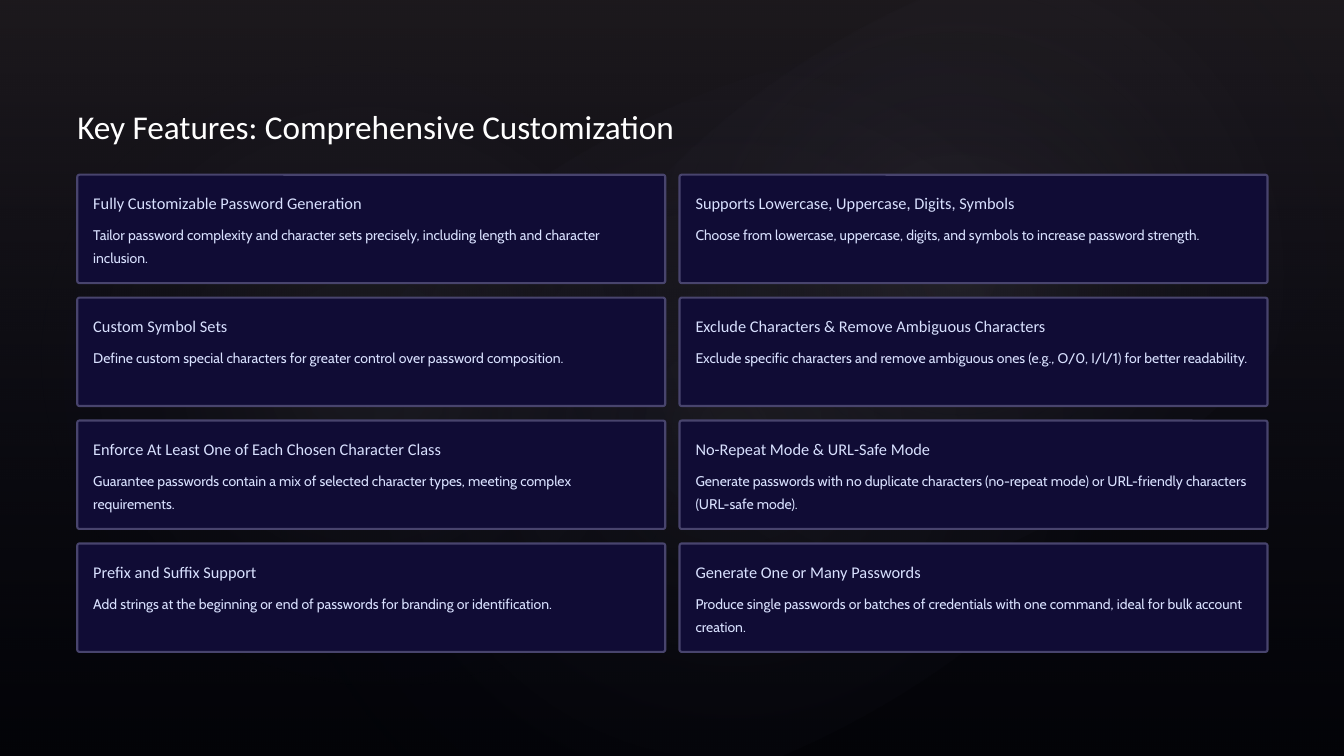
from dataclasses import dataclass

from lxml import etree
from pptx import Presentation
from pptx import util as u
from pptx.dml.color import RGBColor
from pptx.enum import shapes, text
from pptx.oxml import parse_xml
from pptx.oxml.ns import nsdecls

WIDE, HIGH = 16, 9
# Card grid: first corner, pitch and card size, in inches
LEFT, TOP = 0.92, 2.08
STEP_X, STEP_Y = 7.17, 4.39 / 3
CARD_W, CARD_H = 7, 1.29
COLS = 2
PAD, INNER = 0.19, 6.61
PALE = "D9E1FF"


@dataclass
class Glow:
    box: tuple[float, float, float, float]
    turn: float
    alpha: int


@dataclass
class Style:
    font: str
    size: float
    lead: float
    color: str


@dataclass
class Card:
    head: str
    body: str


TITLE = Style("Calibri", 28.5, 36, "FFFFFF")
HEAD = Style("Calibri", 14, 18, PALE)
BODY = Style("Cabin", 12, 19.5, PALE)

GLOWS = [
    Glow((2.4, 1.36, 12.67, 7.49), 328.7, 7),
    Glow((0.73, 0.55, 7.27, 7.84), 294.3, 8),
    Glow((5.74, 0.15, 11.34, 6.24), 328.7, 8),
]

CARDS = [
    Card("Fully Customizable Password Generation",
         "Tailor password complexity and character sets precisely, including length and character inclusion."),
    Card("Supports Lowercase, Uppercase, Digits, Symbols",
         "Choose from lowercase, uppercase, digits, and symbols to increase password strength."),
    Card("Custom Symbol Sets",
         "Define custom special characters for greater control over password composition."),
    Card("Exclude Characters & Remove Ambiguous Characters",
         "Exclude specific characters and remove ambiguous ones (e.g., O/0, I/l/1) for better readability."),
    Card("Enforce At Least One of Each Chosen Character Class",
         "Guarantee passwords contain a mix of selected character types, meeting complex requirements."),
    Card("No-Repeat Mode & URL-Safe Mode",
         "Generate passwords with no duplicate characters (no-repeat mode) or URL-friendly characters (URL-safe mode)."),
    Card("Prefix and Suffix Support",
         "Add strings at the beginning or end of passwords for branding or identification."),
    Card("Generate One or Many Passwords",
         "Produce single passwords or batches of credentials with one command, ideal for bulk account creation."),
]


def paint(color: str) -> RGBColor:
    return RGBColor.from_string(color)


def add_box(slide, kind, box: tuple):
    shape = slide.shapes.add_shape(kind, *map(u.Inches, box))
    shape.shadow.inherit = False
    return shape


def add_fade(shape, stops: list[tuple[int, str, int]], round_: bool) -> None:
    """Fill with stops of position, colour and opacity, in percent."""
    shape.line.fill.background()
    shape.fill.background()
    marks = "".join(
        f'<a:gs pos="{pos * 1000}"><a:srgbClr val="{color}">'
        f'<a:alpha val="{alpha * 1000}"/></a:srgbClr></a:gs>'
        for pos, color, alpha in stops)
    if round_:
        way = ('<a:path path="circle"><a:fillToRect l="50000" t="50000" '
               'r="50000" b="50000"/></a:path>')
    else:
        way = '<a:lin ang="5400000" scaled="0"/>'
    fade = parse_xml(f'<a:gradFill {nsdecls("a")} rotWithShape="1">'
                     f'<a:gsLst>{marks}</a:gsLst>{way}</a:gradFill>')
    props = shape.fill._xPr
    tag = etree.QName(fade.nsmap["a"], "noFill")
    props.replace(props.find(tag.text), fade)


def add_text(slide, words: str, box: tuple, style: Style) -> None:
    frame = slide.shapes.add_textbox(*map(u.Inches, box)).text_frame
    frame.word_wrap = True
    frame.vertical_anchor = text.MSO_ANCHOR.TOP
    frame.margin_left = frame.margin_right = 0
    frame.margin_top = frame.margin_bottom = 0
    frame.text = words
    para = frame.paragraphs[0]
    para.line_spacing = u.Pt(style.lead)
    font = para.runs[0].font
    font.name, font.size = style.font, u.Pt(style.size)
    font.color.rgb = paint(style.color)


def add_card(slide, card: Card, row: int, col: int) -> None:
    x, y = LEFT + col * STEP_X, TOP + row * STEP_Y
    panel = add_box(slide, shapes.MSO_SHAPE.ROUNDED_RECTANGLE,
                    (x, y, CARD_W, CARD_H))
    panel.adjustments[0] = 0.02
    panel.fill.solid()
    panel.fill.fore_color.rgb = paint("100C35")
    panel.line.color.rgb = paint("48446D")
    panel.line.width = u.Pt(1.8)
    add_text(slide, card.head, (x + PAD, y + 0.2, INNER, 0.25), HEAD)
    add_text(slide, card.body, (x + PAD, y + 0.55, INNER, 0.54), BODY)


def main() -> None:
    deck = Presentation()
    deck.slide_width, deck.slide_height = u.Inches(WIDE), u.Inches(HIGH)
    slide = deck.slides.add_slide(deck.slide_layouts[6])

    # Backdrop
    slide.background.fill.solid()
    slide.background.fill.fore_color.rgb = paint("000000")
    veil = add_box(slide, shapes.MSO_SHAPE.RECTANGLE, (0, 0, WIDE, HIGH))
    add_fade(veil, [(0, "504652", 36), (100, "242852", 10)], False)
    for glow in GLOWS:
        oval = add_box(slide, shapes.MSO_SHAPE.OVAL, glow.box)
        oval.rotation = glow.turn
        add_fade(oval, [(0, "C4BCC6", glow.alpha), (58, "242852", 0)], True)

    # Title and cards
    add_text(slide, "Key Features: Comprehensive Customization",
             (LEFT, 1.24, 7.94, 0.5), TITLE)
    for index, card in enumerate(CARDS):
        add_card(slide, card, *divmod(index, COLS))

    deck.save("out.pptx")


if __name__ == "__main__":
    main()
